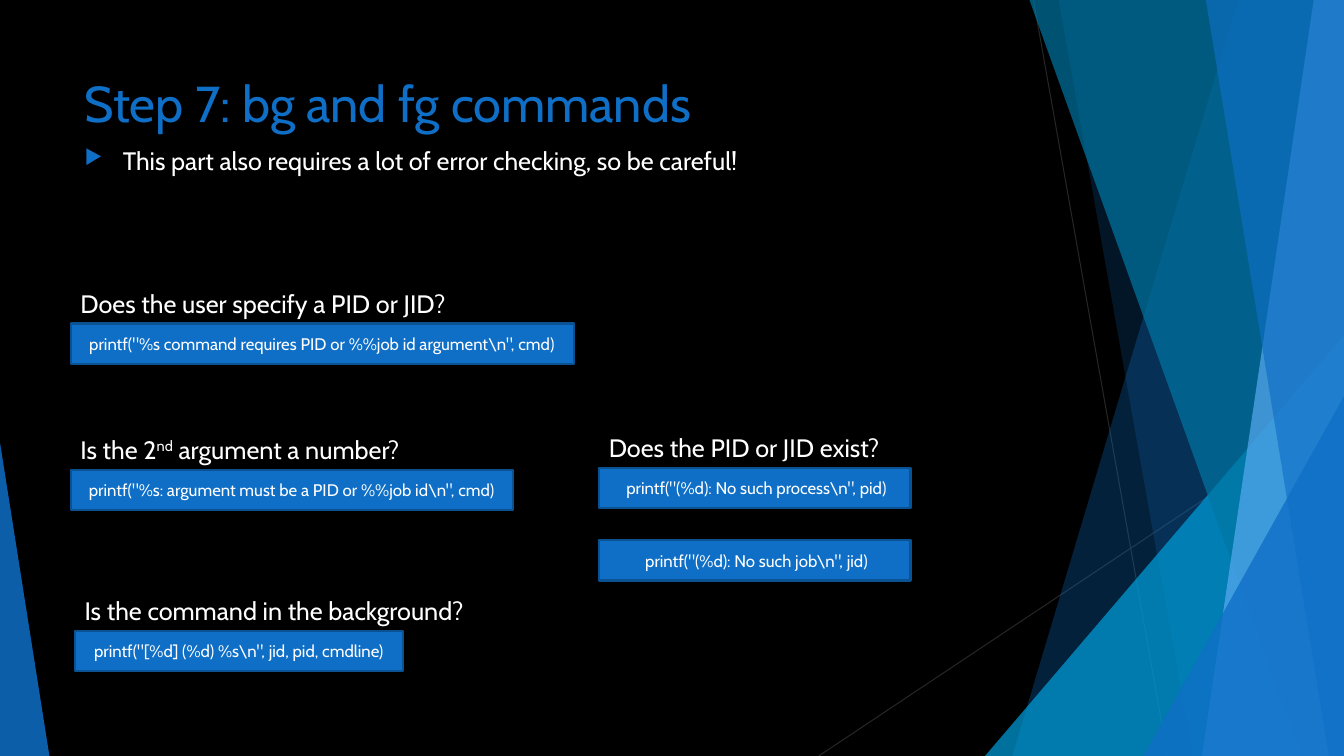
from lxml import etree
from pptx import Presentation
from pptx.dml.color import RGBColor
from pptx.enum.shapes import MSO_CONNECTOR, MSO_SHAPE
from pptx.enum.text import MSO_ANCHOR, PP_ALIGN
from pptx.oxml.ns import qn
from pptx.util import Inches, Pt

STRAIGHT = MSO_CONNECTOR.STRAIGHT
RECTANGLE, TRIANGLE = MSO_SHAPE.RECTANGLE, MSO_SHAPE.ISOSCELES_TRIANGLE
TOP, MIDDLE = MSO_ANCHOR.TOP, MSO_ANCHOR.MIDDLE
LEFT, CENTER = PP_ALIGN.LEFT, PP_ALIGN.CENTER

BLACK = RGBColor(0x00, 0x00, 0x00)
WHITE = RGBColor(0xFF, 0xFF, 0xFF)
GRAY = RGBColor(0x26, 0x26, 0x26)
BLUE = RGBColor(0x0F, 0x6F, 0xC6)
DARK_BLUE = RGBColor(0x0B, 0x52, 0x92)
LIGHT_BLUE = RGBColor(0x59, 0xAA, 0xF2)
CYAN = RGBColor(0x00, 0x9D, 0xD9)
TEAL = RGBColor(0x00, 0x76, 0xA3)

WIDTH, HEIGHT = 13.33, 7.5
ROW = 0.4


class SlideBuilder:
    """Holds the text style and the current slide."""

    font = "Cabin"

    def __init__(self, slide):
        """Start on a slide with a black background."""
        self.slide = slide
        self.shapes = slide.shapes
        fill = slide.background.fill
        fill.solid()
        fill.fore_color.rgb = BLACK

    def paint(self, shape, color, opacity=100):
        """Give a shape a flat fill, without outline or shadow."""
        shape.shadow.inherit = False
        shape.fill.solid()
        shape.fill.fore_color.rgb = color
        shape.line.fill.background()
        if opacity < 100:
            solid = shape._element.spPr.find(qn("a:solidFill"))
            etree.SubElement(solid[0], qn("a:alpha"), val=str(opacity * 1000))

    def line(self, start, end):
        """Draw a thin gray line."""
        line = self.shapes.add_connector(STRAIGHT, *map(Inches, start + end))
        line.line.color.rgb = GRAY
        line.line.width = Pt(0.75)
        etree.SubElement(line._element.spPr, qn("a:effectLst"))

    def facet(self, top, bottom, color, opacity):
        """Fill from a slanted edge to the right side of the slide."""
        points = [(top, 0), (WIDTH, 0), (WIDTH, HEIGHT), (bottom, HEIGHT)]
        corners = [(Inches(x), Inches(y)) for x, y in points]
        builder = self.shapes.build_freeform(*corners[0])
        builder.add_line_segments(corners[1:], close=True)
        self.paint(builder.convert_to_shape(), color, opacity)

    def corner(self, left, top, width, apex, color, opacity):
        """Draw a right-angled triangle that stands on the bottom edge."""
        shape = self.shapes.add_shape(
            TRIANGLE, Inches(left), Inches(top), Inches(width), Inches(HEIGHT - top))
        shape.adjustments[0] = apex
        self.paint(shape, color, opacity)

    def add_runs(self, shape, runs, size, color, align=LEFT, anchor=TOP):
        """Put (text, superscript) runs in a shape; return the paragraph."""
        frame = shape.text_frame
        frame.word_wrap = True
        frame.vertical_anchor = anchor
        para = frame.paragraphs[0]
        para.alignment = align
        for text, superscript in runs:
            run = para.add_run()
            run.text = text
            run.font.name = self.font
            run.font.size = Pt(size)
            run.font.color.rgb = color
            if superscript:
                run._r.get_or_add_rPr().set("baseline", "30000")
        return para

    def text(self, left, top, width, height, runs, size=18, color=WHITE):
        """Add a text box and return its paragraph."""
        box = self.shapes.add_textbox(*map(Inches, (left, top, width, height)))
        return self.add_runs(box, runs, size, color)

    def bullet(self, para):
        """Put a blue arrow bullet before a paragraph."""
        para.space_before = Pt(10)
        props = para._p.get_or_add_pPr()
        props.set("marL", str(Inches(0.38)))
        props.set("indent", str(-Inches(0.38)))
        color = etree.SubElement(props, qn("a:buClr"))
        etree.SubElement(color, qn("a:srgbClr"), val=str(BLUE))
        etree.SubElement(props, qn("a:buSzPct"), val="80000")
        etree.SubElement(props, qn("a:buChar"), char="\u25b6")

    def code(self, left, top, width, text):
        """Add a blue box with a line of code."""
        box = self.shapes.add_shape(
            RECTANGLE, Inches(left), Inches(top), Inches(width), Inches(ROW))
        self.paint(box, BLUE)
        box.line.color.rgb = DARK_BLUE
        box.line.width = Pt(1.5)
        self.add_runs(box, [(text, False)], 12, WHITE, CENTER, MIDDLE)


def draw_backdrop(page):
    """Draw the translucent facets along the slide's sides."""
    page.line((10.25, 0), (11.58, HEIGHT))
    page.line((WIDTH, 4.03), (8.12, HEIGHT))
    page.facet(12.28, 10.04, BLUE, 30)
    page.facet(10.5, 11.83, BLUE, 20)
    page.corner(9.77, 3.33, 3.56, 1, CYAN, 72)
    page.facet(10.21, 12.91, TEAL, 70)
    page.facet(13.03, 11.92, LIGHT_BLUE, 70)
    page.facet(11.96, 13.18, BLUE, 65)
    page.corner(11.34, 3.93, 1.99, 1, BLUE, 80)
    page.corner(0, 4.39, 0.49, 0, BLUE, 85)


def draw_checks(page):
    """Draw each question with its error messages below."""
    checks = [
        (0.7, 2.81, 4.99, [("Does the user specify a PID or JID?", False)],
         [r'printf("%s command requires PID or %%job id argument\n", cmd)']),
        (0.7, 4.26, 4.39,
         [("Is the 2", False), ("nd", True), (" argument a number?", False)],
         [r'printf("%s: argument must be a PID or %%job id\n", cmd)']),
        (0.74, 5.86, 3.26, [("Is the command in the background?", False)],
         [r'printf("[%d] (%d) %s\n", jid, pid, cmdline)']),
        (5.94, 4.24, 3.09, [("Does the PID or JID exist?", False)],
         [r' printf("(%d): No such process\n", pid)',
          r' printf("(%d): No such job\n", jid)']),
    ]
    for left, top, width, question, messages in checks:
        page.text(left, top, 4.2, ROW, question)
        for index, message in enumerate(messages):
            page.code(left, top + ROW + index * 0.72, width, message)


def main():
    """Build and save the deck."""
    deck = Presentation()
    deck.slide_width, deck.slide_height = Inches(WIDTH), Inches(HEIGHT)
    page = SlideBuilder(deck.slides.add_slide(deck.slide_layouts[6]))
    draw_backdrop(page)
    page.text(0.74, 0.67, 9.4, 1.44, [("Step 7: bg and fg commands", False)], 36, BLUE)
    page.bullet(page.text(0.74, 1.39, 9.4, 0.47, [
        ("This part also requires a lot of error checking, so be careful!", False)]))
    draw_checks(page)
    deck.save("out.pptx")


main()
